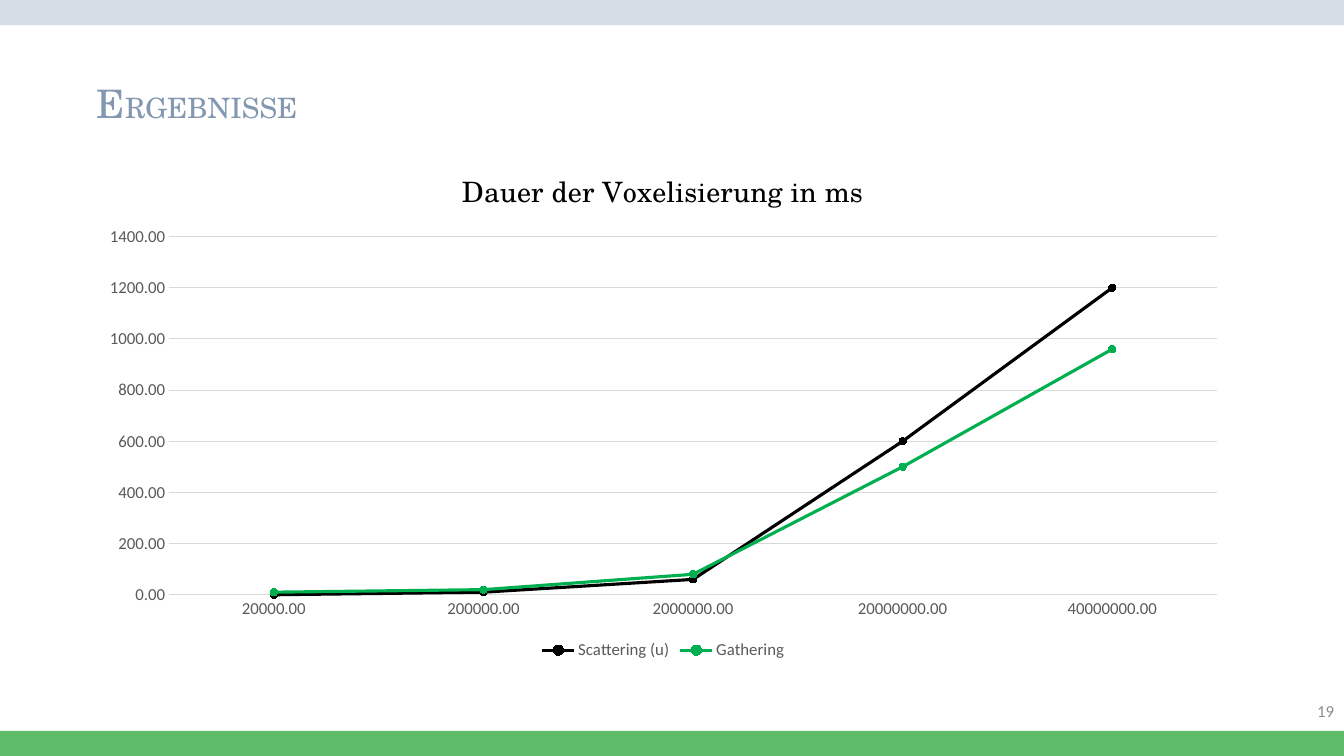
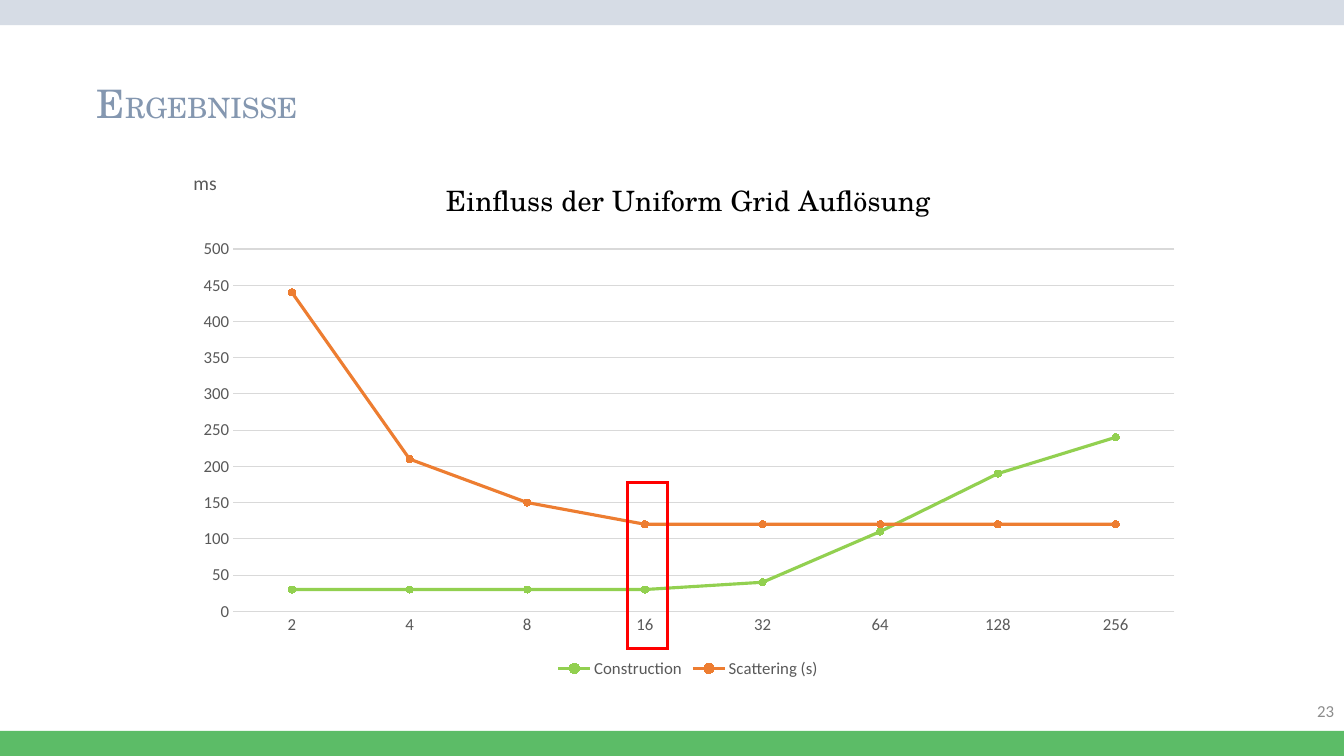
import pptx
import pptx.chart.data
import pptx.dml.color
import pptx.enum.chart
import pptx.enum.shapes
import pptx.enum.text
import pptx.oxml
import pptx.oxml.ns
import pptx.util

WIDTH, HEIGHT = 13.33, 7.5
SANS, SERIF = "Calibri", "TeX Gyre Schola"
COLORS = {
    "top": "D6DCE5", "bottom": "5CBC67", "title": "8497B0", "page": "8C8C8C",
    "label": "595959", "grid": "D9D9D9", "black": "000000", "green": "00B050",
    "lime": "92D050", "orange": "ED7D31", "red": "FF0000",
}
BAND = 3.33  # percent of the slide's height
ALIGN = pptx.enum.text.PP_ALIGN
ANCHOR = pptx.enum.text.MSO_ANCHOR


def rgb(name):
    return pptx.dml.color.RGBColor.from_string(COLORS[name])


def area(x, y, w, h):
    """Turn percentages of the slide's size into lengths."""
    return [pptx.util.Inches(share / 100 * size)
            for share, size in zip((x, y, w, h), (WIDTH, HEIGHT) * 2)]


def style_font(font, size, color, name=SANS):
    font.size, font.name, font.bold = pptx.util.Pt(size), name, False
    font.color.rgb = rgb(color)


def style_line(line, color, width):
    line.color.rgb = rgb(color)
    line.width = pptx.util.Pt(width)


def write(tf, *parts, color="label", font=SANS, align=ALIGN.LEFT,
          anchor=ANCHOR.TOP, wrap=True):
    """Write one paragraph from (text, size) parts."""
    tf.word_wrap, tf.vertical_anchor = wrap, anchor
    p = tf.paragraphs[0]
    p.alignment = align
    for text, size in parts:
        r = p.add_run()
        r.text = text
        style_font(r.font, size, color, font)


def add_text(s, box, *parts, **style):
    write(s.shapes.add_textbox(*area(*box)).text_frame, *parts, **style)


def add_rect(s, box, fill=None, line=None):
    sp = s.shapes.add_shape(pptx.enum.shapes.MSO_SHAPE.RECTANGLE, *area(*box))
    sp.shadow.inherit = False
    if fill:
        sp.fill.solid()
        sp.fill.fore_color.rgb = rgb(fill)
    else:
        sp.fill.background()
    if line:
        style_line(sp.line, line, 2.25)
        # Sharp corners
        sp.element.spPr.find(pptx.oxml.ns.qn("a:ln")).append(pptx.oxml.parse_xml(
            f'<a:miter {pptx.oxml.ns.nsdecls("a")} lim="800000"/>'))
    else:
        sp.line.fill.background()
    return sp


def add_master_bands(prs, s):
    """Draw the bands on a slide, then move them to the shared master."""
    tree = prs.slide_master.shapes.element
    for i, (y, fill) in enumerate(((0, "top"), (100 - BAND, "bottom"))):
        sp = add_rect(s, (0, y, 100, BAND), fill=fill).element
        sp.nvSpPr.cNvPr.set("id", str(100 + i))
        tree.insert(2 + i, sp)


def add_slide(prs, page):
    s = prs.slides.add_slide(prs.slide_layouts[5])
    title = s.shapes.title
    title.left, title.top, title.width, title.height = area(6.45, 9.87, 89.65, 7.6)
    write(title.text_frame, ("E", 28), ("RGEBNISSE", 20), color="title", font=SERIF)
    title.text_frame.auto_size = pptx.enum.text.MSO_AUTO_SIZE.NONE
    add_text(s, (77.5, 91.33, 22.5, 5.33), (page, 12), color="page",
             align=ALIGN.RIGHT, anchor=ANCHOR.MIDDLE)
    return s


def place_part(parent, index, shares, inner=False):
    """Give a chart part a fixed place, in percent of the chart's size."""
    for old in parent.findall(pptx.oxml.ns.qn("c:layout")):
        parent.remove(old)
    settings = {"layoutTarget": "inner"} if inner else {}
    settings.update(xMode="edge", yMode="edge")
    settings.update((key, round(share / 100, 4)) for key, share in zip("xywh", shares))
    items = "".join(f'<c:{key} val="{val}"/>' for key, val in settings.items())
    parent.insert(index, pptx.oxml.parse_xml(
        f'<c:layout {pptx.oxml.ns.nsdecls("c")}><c:manualLayout>{items}'
        '</c:manualLayout></c:layout>'))


def style_axes(chart, top, step, fmt):
    none = pptx.enum.chart.XL_TICK_MARK.NONE
    for axis in (chart.category_axis, chart.value_axis):
        axis.major_tick_mark = axis.minor_tick_mark = none
        style_font(axis.tick_labels.font, 12, "label")
    style_line(chart.category_axis.format.line, "grid", 0.75)
    values = chart.value_axis
    values.format.line.fill.background()
    values.minimum_scale, values.maximum_scale, values.major_unit = 0, top, step
    style_line(values.major_gridlines.format.line, "grid", 0.75)
    values.tick_labels.number_format = fmt
    values.tick_labels.number_format_is_linked = False


def style_series(series, color):
    series.smooth = False
    style_line(series.format.line, color, 2.25)
    marker = series.marker
    marker.style, marker.size = pptx.enum.chart.XL_MARKER_STYLE.CIRCLE, 5
    marker.format.fill.solid()
    marker.format.fill.fore_color.rgb = rgb(color)
    style_line(marker.format.line, color, 0.75)


def add_line_chart(s, box, title, cats, rows, top, step, title_at, plot_at, fmt="0"):
    data = pptx.chart.data.CategoryChartData()
    data.categories = cats
    for name, _, vals in rows:
        data.add_series(name, vals)
    chart = s.shapes.add_chart(pptx.enum.chart.XL_CHART_TYPE.LINE_MARKERS,
                               *area(*box), data).chart
    style_font(chart.font, 10, "black")
    chart.plots[0].vary_by_categories = False
    style_axes(chart, top, step, fmt)
    for series, (_, color, _) in zip(chart.plots[0].series, rows):
        style_series(series, color)

    # Title, legend and plot area
    chart.has_title = True
    write(chart.chart_title.text_frame, (title, 20), color="black", font=SERIF,
          align=ALIGN.CENTER)
    root = chart.element.chart
    place_part(root.find(pptx.oxml.ns.qn("c:title")), 1, title_at)
    place_part(root.plotArea, 0, plot_at, inner=True)
    chart.has_legend = True
    chart.legend.position = pptx.enum.chart.XL_LEGEND_POSITION.BOTTOM
    chart.legend.include_in_layout = False
    style_font(chart.legend.font, 12, "label")


def main():
    prs = pptx.Presentation()
    prs.slide_width, prs.slide_height = area(0, 0, 100, 100)[2:]

    # Duration of the voxelisation
    s = add_slide(prs, "19")
    add_master_bands(prs, s)
    add_line_chart(
        s, (6.45, 19.6, 85.82, 68.27), "Dauer der Voxelisierung in ms",
        ["20000.00", "200000.00", "2000000.00", "20000000.00", "40000000.00"],
        [("Scattering (u)", "black", (0, 10, 60, 600, 1200)),
         ("Gathering", "green", (10, 20, 80, 500, 960))],
        top=1400, step=200, fmt="0.00",
        title_at=(32.1, 2.5), plot_at=(7.15, 17.15, 90.85, 69.4))

    # Influence of the grid resolution
    s = add_slide(prs, "23")
    add_line_chart(
        s, (13.58, 20.4, 75.24, 69.87), "Einfluss der Uniform Grid Auflösung",
        [str(2 ** n) for n in range(1, 9)],
        [("Construction", "lime", (30,) * 4 + (40, 110, 190, 240)),
         ("Scattering (s)", "orange", (440, 210, 150) + (120,) * 5)],
        top=500, step=50,
        title_at=(25.55, 3), plot_at=(5, 17.95, 93.1, 68.6))
    add_rect(s, (46.7, 63.87, 3, 21.87), line="red")
    add_text(s, (13.65, 22, 3.3, 4.53), ("ms", 14), wrap=False)

    prs.save("out.pptx")


if __name__ == "__main__":
    main()
